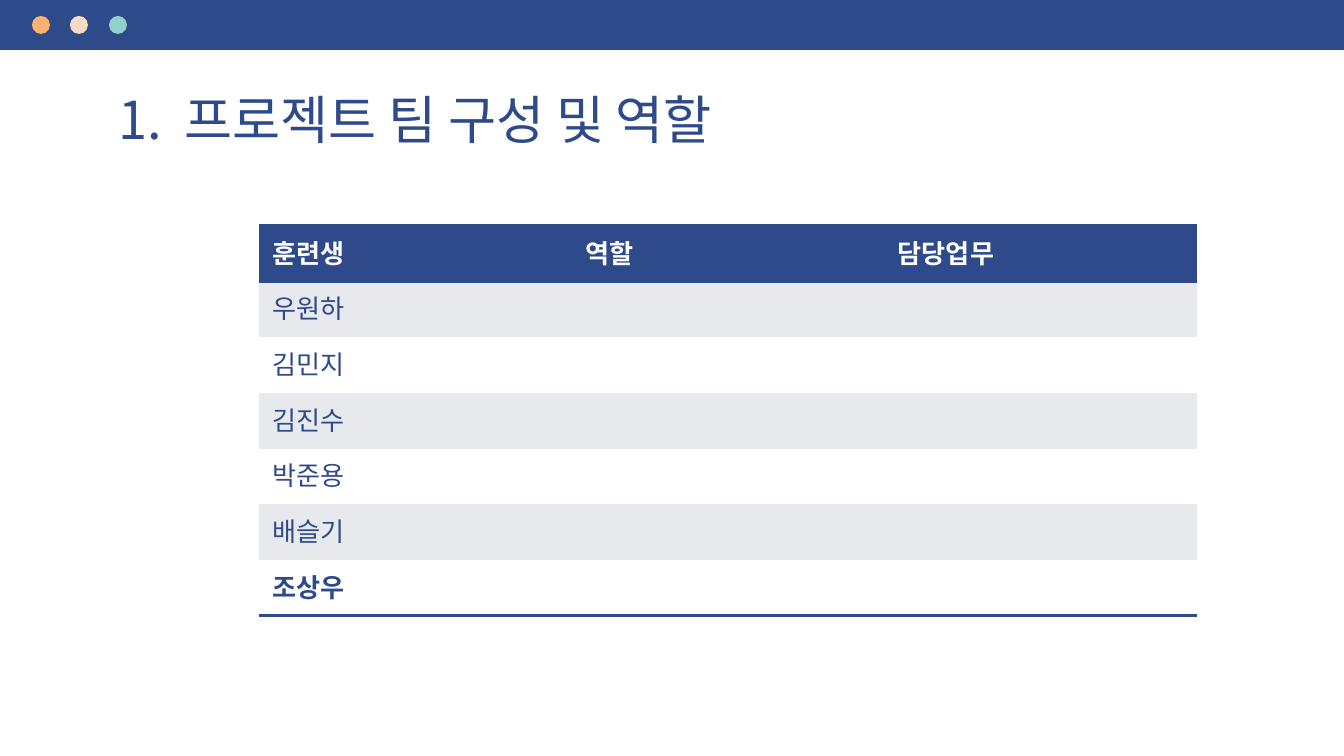
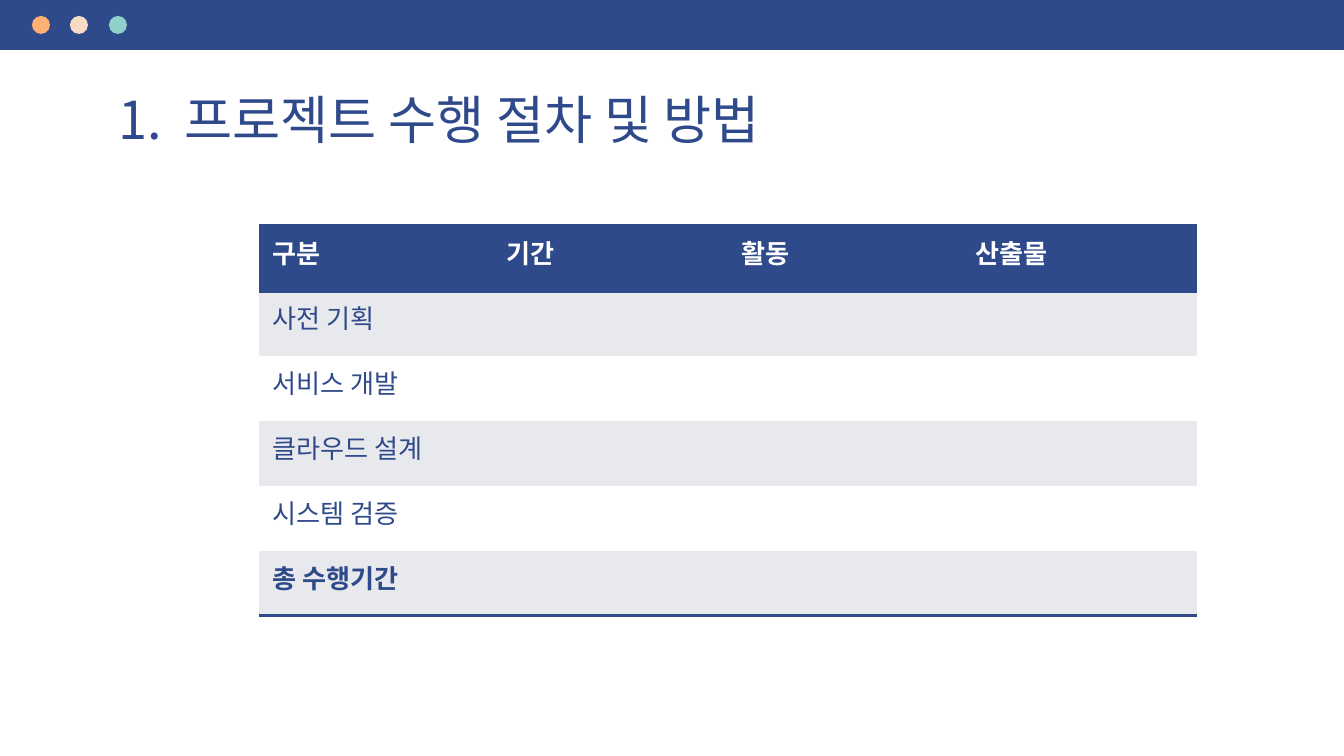
"""Build two project slides, each with a title and a banded table."""
from lxml import etree
from pptx import Presentation
from pptx import util as u
from pptx.dml.color import RGBColor
from pptx.enum import shapes, text
from pptx.oxml.ns import qn

EMU_PER_PX = 9144000 / 1344
COLORS = {
    "navy": "2F4A8A",
    "orange": "FFB172",
    "cream": "F8DBC4",
    "mint": "90D1CB",
    "gray": "E8E9ED",
    "white": "FFFFFF",
}
TITLE_FONT = "Noto Sans CJK KR"
TABLE_FONT = "Arial"
PLAIN_TABLE_STYLE = "{2D5ABB26-0587-4C30-8999-92F81FD0307C}"
TABLE_BOX = (259, 226, 938, 390)
TITLE_BOX = (105, 81, 1134, 69)

TEAM = (
    ["훈련생", "역할", "담당업무"],
    ["우원하", "김민지", "김진수", "박준용", "배슬기", "조상우"],
)
PROCEDURE = (
    ["구분", "기간", "활동", "산출물"],
    ["사전 기획", "서비스 개발", "클라우드 설계", "시스템 검증", "총 수행기간"],
)


def px(length):
    return u.Emu(round(length * EMU_PER_PX))


def rgb(name):
    return RGBColor.from_string(COLORS[name])


def style_font(font, face, size, color, bold=False):
    font.name = face
    font.size = u.Pt(size)
    font.color.rgb = rgb(color)
    font.bold = bold


def add_layout_shape(layout, slide, kind, box, color):
    shape = slide.shapes.add_shape(kind, *map(px, box))
    shape.shadow.inherit = False
    shape.fill.solid()
    shape.fill.fore_color.rgb = rgb(color)
    shape.line.fill.background()
    layout.shapes._spTree.append(shape._element)


def add_window_bar(layout, slide):
    add_layout_shape(layout, slide, shapes.MSO_SHAPE.RECTANGLE, (0, 0, 1344, 50), "navy")
    for i, color in enumerate(("orange", "cream", "mint")):
        dot = (32 + i * 77 // 2, 16, 18, 18)
        add_layout_shape(layout, slide, shapes.MSO_SHAPE.OVAL, dot, color)


def set_title(slide, number, heading):
    title = slide.shapes.title
    title.left, title.top, title.width, title.height = map(px, TITLE_BOX)
    frame = title.text_frame
    frame.auto_size = text.MSO_AUTO_SIZE.NONE
    frame.vertical_anchor = text.MSO_ANCHOR.TOP
    frame.margin_left = frame.margin_right = u.Inches(0.1)
    frame.margin_top = frame.margin_bottom = u.Inches(0.1)
    line = frame.paragraphs[0]
    line.alignment = text.PP_ALIGN.LEFT
    line.line_spacing = 0.9
    style_font(line.font, TITLE_FONT, 28, "navy")
    for part in (number, " ", heading):
        run = line.add_run()
        run.text = part
        if part == " ":
            run.font._element.set("spc", "600")


def add_border(cell, sides):
    properties = cell._tc.get_or_add_tcPr()
    for position, side in enumerate(sides):
        border = etree.Element(qn(f"a:ln{side}"), w=str(u.Pt(2)))
        fill = etree.SubElement(border, qn("a:solidFill"))
        etree.SubElement(fill, qn("a:srgbClr"), val=COLORS["navy"])
        properties.insert(position, border)


def fill_cell(cell, label, row, last_row):
    header = row == 0
    cell.text = label
    cell.fill.solid()
    cell.fill.fore_color.rgb = rgb("navy" if header else "gray" if row % 2 else "white")
    style_font(cell.text_frame.paragraphs[0].font, TABLE_FONT, 14,
               "white" if header else "navy", bold=row in (0, last_row))
    if header:
        add_border(cell, "TB")
    elif row == last_row:
        add_border(cell, "B")


def add_plan_table(slide, headings, labels):
    left, top, width, height = TABLE_BOX
    last_row = len(labels)
    table = slide.shapes.add_table(
        last_row + 1, len(headings), px(left), px(top), px(width), px(height)).table
    table.horz_banding = False
    table._tbl.tblPr.find(qn("a:tableStyleId")).text = PLAIN_TABLE_STYLE
    blanks = [""] * (len(headings) - 1)
    rows = [headings] + [[label] + blanks for label in labels]
    for r, row in enumerate(rows):
        for c, label in enumerate(row):
            fill_cell(table.cell(r, c), label, r, last_row)


def main():
    deck = Presentation()
    deck.slide_width, deck.slide_height = px(1344), px(756)
    layout = deck.slide_layouts[5]
    team = deck.slides.add_slide(layout)
    procedure = deck.slides.add_slide(layout)
    add_window_bar(layout, team)
    set_title(team, "1.", "프로젝트 팀 구성 및 역할")
    add_plan_table(team, *TEAM)
    set_title(procedure, "1.", "프로젝트 수행 절차 및 방법")
    add_plan_table(procedure, *PROCEDURE)
    deck.save("out.pptx")


if __name__ == "__main__":
    main()
